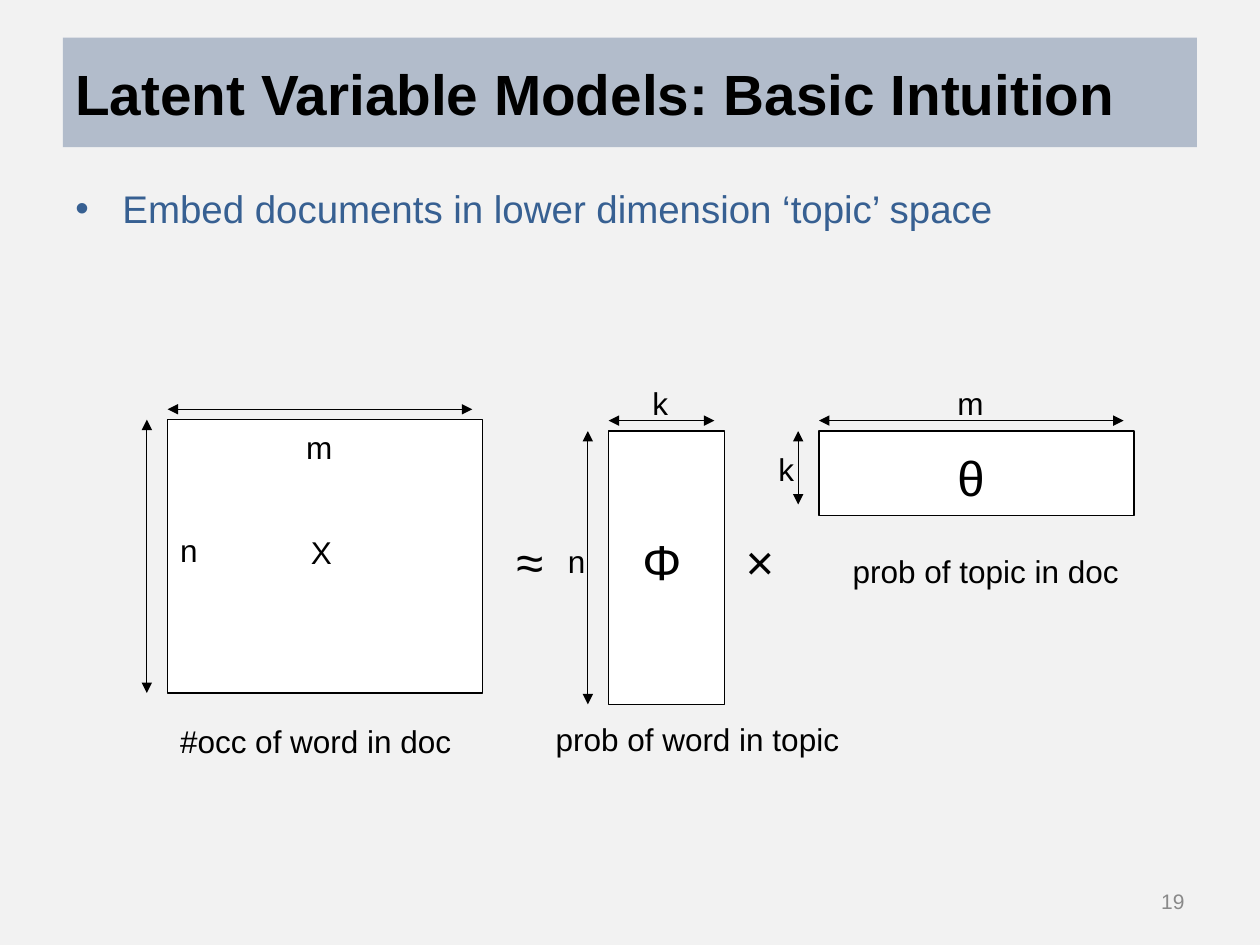
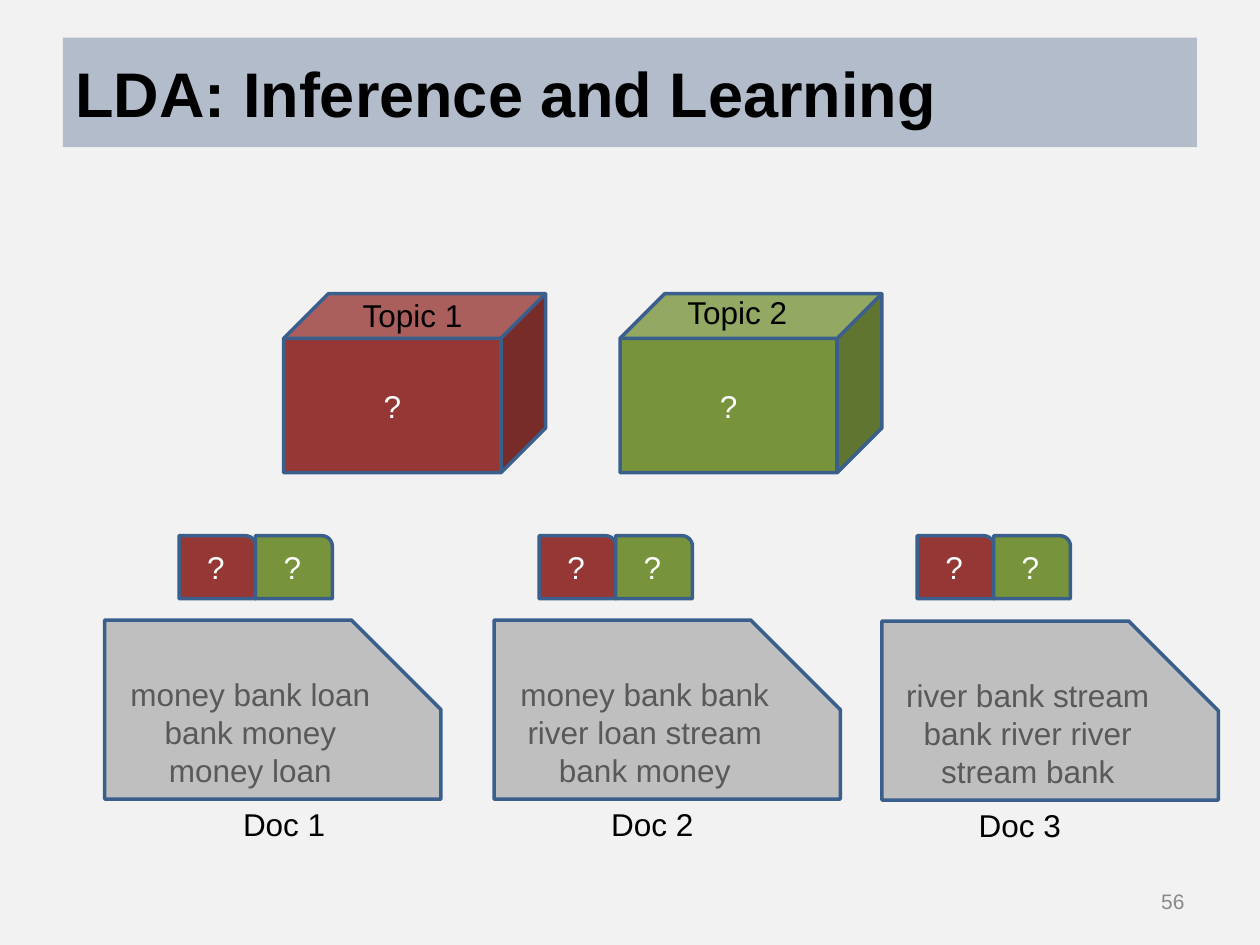
from lxml.etree import SubElement
from pptx import Presentation
from pptx.dml.color import RGBColor
from pptx.enum.shapes import MSO_CONNECTOR, MSO_SHAPE
from pptx.enum.text import MSO_ANCHOR, PP_ALIGN
from pptx.oxml.ns import qn
from pptx.util import Cm, Pt

FONT = "Arial"
COLORS = {
    "background": "F2F2F2",
    "band": "B2BCCB",
    "bullet": "376092",
    "page": "898989",
    "black": "000000",
    "white": "FFFFFF",
    "outline": "3A5F8C",
    "topic 1": "953735",
    "topic 2": "77933C",
    "doc": "BFBFBF",
    "words": "595959",
}
LABEL_HEIGHT, SYMBOL_HEIGHT = 1.02, 1.45
SYMBOL_SIZE = 28
ARROW_GAP = 0.21


def rgb(color):
    return RGBColor.from_string(COLORS[color])


def write(shape, text, size=18, color="black", bold=False,
          align=PP_ALIGN.LEFT, anchor=MSO_ANCHOR.TOP, wrap=True):
    frame = shape.text_frame
    frame.word_wrap = wrap
    frame.vertical_anchor = anchor
    paragraph = frame.paragraphs[0]
    paragraph.alignment = align
    run = paragraph.add_run()
    run.text = text
    run.font.name = FONT
    run.font.size = Pt(size)
    run.font.bold = bold
    run.font.color.rgb = rgb(color)
    return paragraph


def add_text(slide, text, left, top, width, height=LABEL_HEIGHT, **style):
    box = slide.shapes.add_textbox(Cm(left), Cm(top), Cm(width), Cm(height))
    return write(box, text, **style)


def add_label(slide, text, left, top, width):
    add_text(slide, text, left, top, width, wrap=False)


def add_symbol(slide, text, left, top, width):
    add_text(slide, text, left, top, width, SYMBOL_HEIGHT,
             size=SYMBOL_SIZE, wrap=False)


def add_block(slide, kind, left, top, width, height, fill,
              line=None, line_width=2):
    block = slide.shapes.add_shape(
        kind, Cm(left), Cm(top), Cm(width), Cm(height))
    block.shadow.inherit = False
    block.fill.solid()
    block.fill.fore_color.rgb = rgb(fill)
    if line:
        block.line.color.rgb = rgb(line)
        block.line.width = Pt(line_width)
    else:
        block.line.fill.background()
    return block


def add_filled_text(slide, kind, text, left, top, width, height, fill,
                    color="white"):
    block = add_block(slide, kind, left, top, width, height, fill, "outline")
    write(block, text, color=color, align=PP_ALIGN.CENTER,
          anchor=MSO_ANCHOR.MIDDLE)
    return block


def add_double_arrow(slide, x1, y1, x2, y2):
    arrow = slide.shapes.add_connector(
        MSO_CONNECTOR.STRAIGHT, Cm(x1), Cm(y1), Cm(x2), Cm(y2))
    arrow.line.color.rgb = rgb("black")
    arrow.line.width = Pt(0.75)
    outline = arrow.line._get_or_add_ln()
    for end in ("a:headEnd", "a:tailEnd"):
        SubElement(outline, qn(end), type="triangle")
    SubElement(arrow._element.spPr, qn("a:effectLst"))


def add_matrix(slide, left, top, width, height, rows_arrow):
    """Draw a matrix with a row arrow at its left and a column arrow above."""
    add_block(slide, MSO_SHAPE.RECTANGLE, left, top, width, height,
              "white", "black", 0.75)
    rows_x, columns_y = left - 2 * ARROW_GAP, top - ARROW_GAP
    add_double_arrow(slide, rows_x, top, rows_x, top + rows_arrow)
    add_double_arrow(slide, left, columns_y,
                     left + width - ARROW_GAP, columns_y)


def add_bullet(slide, text):
    paragraph = add_text(slide, text, 1.27, 3.61, 22.86, 13.41,
                         size=22, color="bullet")
    paragraph.space_before = Pt(2)
    properties = paragraph._p.get_or_add_pPr()
    properties.set("marL", str(Cm(0.95)))
    properties.set("indent", str(Cm(-0.95)))
    SubElement(properties, qn("a:buFont"), typeface=FONT)
    SubElement(properties, qn("a:buChar"), char="•")


def add_base_slide(deck, title, title_size, page):
    slide = deck.slides.add_slide(deck.slide_layouts[6])
    slide.background.fill.solid()
    slide.background.fill.fore_color.rgb = rgb("background")
    band = add_block(slide, MSO_SHAPE.RECTANGLE,
                     1.27, 0.76, 22.86, 2.21, "band")
    write(band, title, size=title_size, bold=True, anchor=MSO_ANCHOR.MIDDLE)
    add_text(slide, page, 18.21, 17.65, 5.92, size=12, color="page",
             align=PP_ALIGN.RIGHT, anchor=MSO_ANCHOR.MIDDLE)
    return slide


def build_intuition(deck):
    slide = add_base_slide(
        deck, "Latent Variable Models: Basic Intuition", 32.4, "19")
    add_bullet(slide, "Embed documents in lower dimension ‘topic’ space")

    # Matrices: X ≈ Φ × θ
    add_matrix(slide, 3.38, 8.46, 6.35, 5.51, rows_arrow=5.51)
    add_matrix(slide, 12.27, 8.69, 2.34, 5.51, rows_arrow=5.51)
    add_matrix(slide, 16.51, 8.69, 6.35, 1.7, rows_arrow=1.48)

    # Dimensions and captions
    for text, left, top, width in (
        ("n", 3.38, 10.59, 0.86),
        ("m", 5.92, 8.51, 1.04),
        ("X", 6.02, 10.62, 0.94),
        ("n", 11.2, 10.8, 0.86),
        ("k", 12.9, 7.62, 0.84),
        ("k", 15.44, 8.94, 0.84),
        ("m", 19.05, 7.62, 1.04),
        ("#occ of word in doc", 3.38, 14.43, 5.97),
        ("prob of word in topic", 10.95, 14.4, 6.22),
        ("prob of topic in doc", 16.94, 11, 5.87),
    ):
        add_label(slide, text, left, top, width)

    # Symbols of the equation
    for text, left, top, width in (
        ("≈", 10.16, 10.59, 1.04),
        ("Φ", 12.7, 10.59, 1.3),
        ("×", 14.78, 10.59, 1.09),
        ("θ", 19.05, 8.89, 1.07),
    ):
        add_symbol(slide, text, left, top, width)


def add_document(slide, name, words, left, top, width, name_left, share_left):
    page = add_filled_text(slide, MSO_SHAPE.SNIP_1_RECTANGLE, words,
                           left, top, width, 3.61, "doc", "words")
    page.adjustments[0] = 0.5
    add_label(slide, name, name_left, top + 3.6, 2.18)
    # Unknown share of each topic
    for index, topic in enumerate(("topic 1", "topic 2")):
        add_filled_text(slide, MSO_SHAPE.ROUND_1_RECTANGLE, "?",
                        share_left + index * 1.54, 10.8, 1.55, 1.27, topic)


def build_inference(deck):
    slide = add_base_slide(deck, "LDA: Inference and Learning", 36, "56")

    # Topics
    for name, left, name_left, name_top in (
        ("Topic 1", 5.72, 7.06, 5.84),
        ("Topic 2", 12.5, 13.61, 5.79),
    ):
        add_filled_text(slide, MSO_SHAPE.CUBE, "?",
                        left, 5.92, 5.28, 3.61, name.lower())
        add_label(slide, name, name_left, name_top, 2.54)

    # Documents
    add_document(slide, "Doc 1", "money bank loan bank money money loan",
                 2.11, 12.5, 6.78, name_left=4.65, share_left=3.61)
    add_document(slide, "Doc 2", "money bank bank river loan stream bank money",
                 9.96, 12.5, 6.98, name_left=12.07, share_left=10.87)
    add_document(slide, "Doc 3", "river bank stream bank river river stream bank",
                 17.78, 12.52, 6.78, name_left=19.48, share_left=18.49)


def main():
    deck = Presentation()
    deck.slide_width, deck.slide_height = Cm(25.4), Cm(19.05)
    build_intuition(deck)
    build_inference(deck)
    deck.save("out.pptx")


if __name__ == "__main__":
    main()
